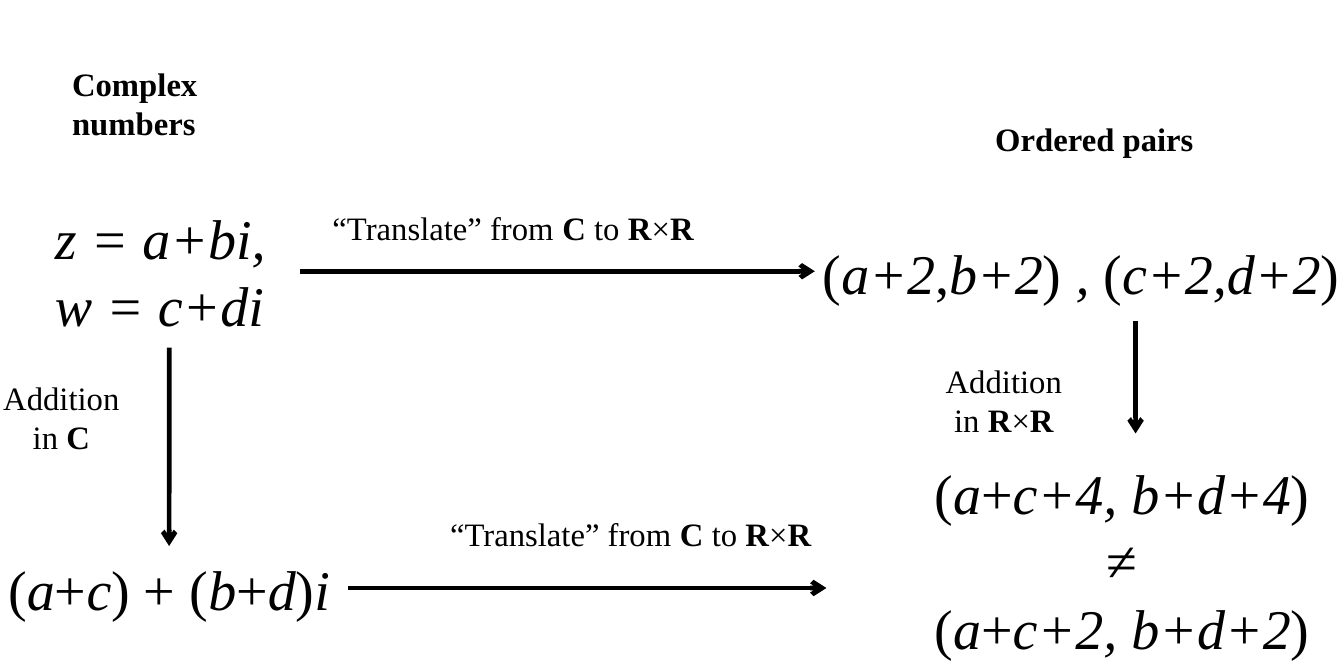
from pptx import Presentation
from pptx import util as u
from pptx.dml.color import RGBColor
from pptx.enum import shapes, text
from pptx.oxml.ns import qn
from lxml import etree

BLACK = "000000"
FONT = "Times New Roman"
TOP, BOTTOM = 0, 2
RIGHT = 3
LABEL, FORMULA = 14, 24


def color(hex_code):
    return RGBColor.from_string(hex_code)


def add_runs(paragraph, marked, size, bold):
    """Split the text into runs: * switches bold and _ switches italic."""
    italic = False
    for strong_part in marked.split("*"):
        for part in strong_part.split("_"):
            if part:
                run = paragraph.add_run()
                run.text = part
                font = run.font
                font.name, font.size = FONT, u.Pt(size)
                font.bold, font.italic = bold, italic
                font.color.rgb = color(BLACK)
            italic = not italic
        italic = not italic
        bold = not bold


def write(slide, box, *lines, size=LABEL, bold=False, align="l"):
    """Write one paragraph per line; align has one letter, or one per line."""
    label = slide.shapes.add_textbox(*(u.Pt(length) for length in box))
    frame = label.text_frame
    frame.word_wrap = False
    frame.auto_size = text.MSO_AUTO_SIZE.SHAPE_TO_FIT_TEXT
    for number, line in enumerate(lines):
        paragraph = frame.add_paragraph() if number else frame.paragraphs[0]
        if align[min(number, len(align) - 1)] == "c":
            paragraph.alignment = text.PP_ALIGN.CENTER
        add_runs(paragraph, line, size, bold)
    return label


def arrow(slide, start, end, source=None, target=None):
    """Draw an arrow; source and target are (shape, side) pairs to join."""
    line = slide.shapes.add_connector(
        shapes.MSO_CONNECTOR.STRAIGHT, *(u.Pt(v) for v in (*start, *end)))
    if source:
        line.begin_connect(*source)
    if target:
        line.end_connect(*target)
    line.line.color.rgb = color(BLACK)
    line.line.width = u.Pt(2)
    etree.SubElement(line.line._get_or_add_ln(), qn("a:tailEnd"), type="arrow")
    etree.SubElement(line._element.spPr, qn("a:effectLst"))


def complex_column(slide, x, y):
    write(slide, (x + 28, y, 88.6, 51.1), "Complex", "numbers", bold=True)
    numbers = write(slide, (x + 20.6, y + 59.7, 112.3, 65.5),
                    "_z = a+bi,_", "_w = c+di_", size=FORMULA)
    total = write(slide, (x, y + 210.2, 153.4, 36),
                  "(_a_+_c_) + (_b_+_d_)_i_", size=FORMULA, align="c")
    arrow(slide, (x + 76.7, y + 125.2), (x + 76.7, y + 210.2),
          (numbers, BOTTOM), (total, TOP))
    write(slide, (x - 1.5, y + 134.6, 83.5, 51.1),
          "Addition", "in *C*", align="lc")
    return numbers, total


def pairs_column(slide, x, y):
    write(slide, (x + 65.5, y, 124.6, 28.8), "Ordered pairs",
          bold=True, align="c")
    write(slide, (x, y + 51.1, 244, 36),
          "(_a+2_,_b+2_)_ , _(_c+2,d+2_)", size=FORMULA, align="c")
    arrow(slide, (x + 145.4, y + 90), (x + 145.4, y + 138.3))
    write(slide, (x + 56.9, y + 103.7, 83.5, 51.1),
          "Addition", "in *R*×*R*", align="lc")
    write(slide, (x + 51.1, y + 145.5, 177, 94.3),
          "(_a_+_c+4, b+d+4_)", "≠", "(_a_+_c+2, b+d+2_)",
          size=FORMULA, align="c")


def translation(slide, source, end_x, label_x, label_y):
    y = (source.top + source.height / 2) / u.Pt(1)
    start_x = (source.left + source.width) / u.Pt(1)
    arrow(slide, (start_x, y), (end_x, y), (source, RIGHT))
    write(slide, (label_x, label_y, 214, 28.8),
          "“Translate” from *C* to *R*×*R*")


def main():
    deck = Presentation()
    deck.slide_width, deck.slide_height = u.Pt(576), u.Pt(288)
    slide = deck.slides.add_slide(deck.slide_layouts[6])
    numbers, total = complex_column(slide, -4.2, 23.8)
    pairs_column(slide, 341.3, 47.5)
    translation(slide, numbers, 349.2, 135.4, 85.7)
    translation(slide, total, 354.2, 185.8, 216.7)
    deck.save("out.pptx")


if __name__ == "__main__":
    main()
